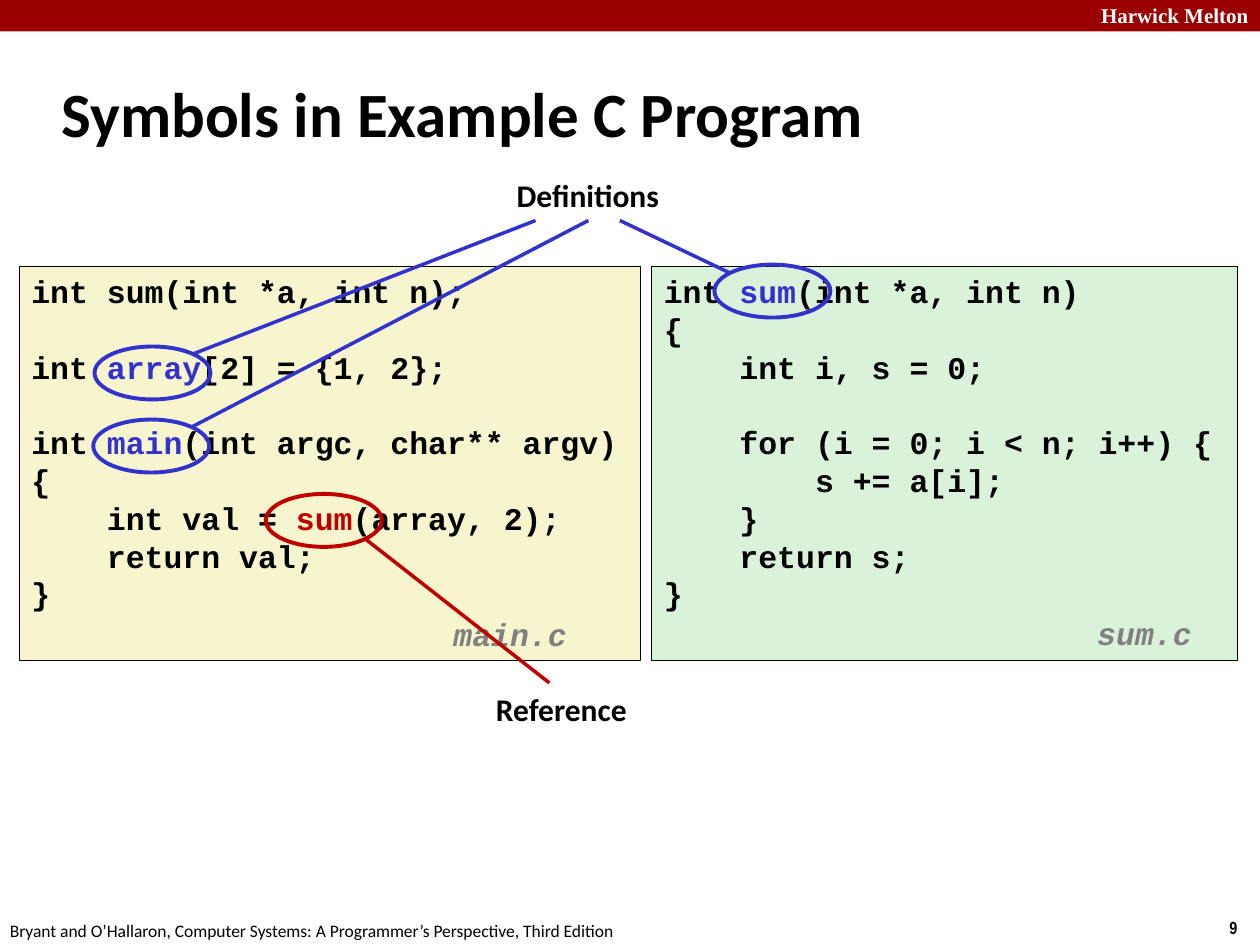
import pptx
import pptx.util
import pptx.dml.color
import pptx.enum.shapes
import pptx.enum.text
from lxml import etree

RGB = pptx.dml.color.RGBColor
SHAPE = pptx.enum.shapes.MSO_SHAPE
ALIGN = pptx.enum.text.PP_ALIGN
ANCHOR = pptx.enum.text.MSO_ANCHOR
Inches, Pt = pptx.util.Inches, pptx.util.Pt

BLACK, WHITE, GRAY = RGB(0, 0, 0), RGB(255, 255, 255), RGB(0x80, 0x80, 0x80)
BANNER_RED = RGB(0x99, 0, 0)
CREAM, MINT = RGB(0xF7, 0xF5, 0xCD), RGB(0xDB, 0xF2, 0xDA)
DEFINITION, REFERENCE = RGB(0x33, 0x33, 0xCC), RGB(0xC0, 0, 0)

CODE_FONT, CODE_SIZE, LINE_PITCH = "Courier New", 18, 21.6
INDENT = 4 * 0.15  # four monospaced characters
RING = (0.92, 0.42)
PANEL_TOP, PANEL_HEIGHT = 2.11, 3.13

# Each code line: indent level, blank lines above, then (text, colour) runs.
MAIN_CODE = [
    (0, 0, [("int sum(int *a, int n);", BLACK)]),
    (0, 1, [("int ", BLACK), ("array", DEFINITION), ("[2] = {1, 2};", BLACK)]),
    (0, 1, [("int ", BLACK), ("main", DEFINITION), ("(int argc, char** argv)", BLACK)]),
    (0, 0, [("{", BLACK)]),
    (1, 0, [("int val = ", BLACK), ("sum", REFERENCE), ("(array, 2);", BLACK)]),
    (1, 0, [("return val;", BLACK)]),
    (0, 0, [("}", BLACK)]),
]
SUM_CODE = [
    (0, 0, [("int ", BLACK), ("sum", DEFINITION), ("(int *a, int n)", BLACK)]),
    (0, 0, [("{", BLACK)]),
    (1, 0, [("int i, s = 0;", BLACK)]),
    (1, 1, [("for (i = 0; i < n; i++) {", BLACK)]),
    (2, 0, [("s += a[i];", BLACK)]),
    (1, 0, [("}", BLACK)]),
    (1, 0, [("return s;", BLACK)]),
    (0, 0, [("}", BLACK)]),
]
# left, width, fill, code
PANELS = [(0.15, 4.93, CREAM, MAIN_CODE), (5.17, 4.65, MINT, SUM_CODE)]

# text, box, font, size, colour, options
HEADER = [
    ("Harwick Melton", (8.64, -0.03, 1.43, 0.3), "Times New Roman", 12, WHITE,
     {"wrap": False}),
    ("9", (9.66, 7.23, 0.34, 0.27), "Arial Narrow", 10, BLACK, {}),
    ("Bryant and O’Hallaron, Computer Systems: A Programmer’s Perspective, Third Edition",
     (-0.02, 7.25, 5.08, 0.27), "Calibri", 10, BLACK, {"bold": False}),
    ("Symbols in Example C Program", (0.39, 0.48, 8.3, 0.83), "Calibri", 36, BLACK,
     {"anchor": ANCHOR.MIDDLE}),
]
LABELS = [
    ("main.c", (3.5, 4.86, 1.17, 0.39), CODE_FONT, 18, GRAY, {"italic": True, "spacing": 0.94}),
    ("sum.c", (8.61, 4.85, 1.02, 0.39), CODE_FONT, 18, GRAY, {"italic": True, "spacing": 0.94}),
    ("Definitions", (3.99, 1.35, 1.35, 0.4), "Calibri", 18, BLACK, {"align": ALIGN.CENTER}),
    ("Reference", (3.82, 5.43, 1.27, 0.4), "Calibri", 18, BLACK, {"align": ALIGN.CENTER}),
]
# ring corner, line start at the ring, line end at the label, colour
CALLOUTS = [
    ((0.75, 2.75), (1.53, 2.81), (4.25, 1.75), DEFINITION),
    ((0.74, 3.33), (1.52, 3.39), (4.67, 1.75), DEFINITION),
    ((5.67, 2.1), (5.8, 2.17), (4.92, 1.75), DEFINITION),
    ((2.11, 3.92), (2.89, 4.27), (4.36, 5.42), REFERENCE),
]


def add_run(paragraph, text, font, size, color, bold=True, italic=False):
    run = paragraph.add_run()
    run.text = text
    run.font.name, run.font.size = font, Pt(size)
    run.font.bold, run.font.italic = bold, italic
    run.font.color.rgb = color


def add_text(slide, text, box, font, size, color, options):
    frame = slide.shapes.add_textbox(*map(Inches, box)).text_frame
    frame.word_wrap = options.get("wrap", True)
    frame.vertical_anchor = options.get("anchor", ANCHOR.TOP)
    paragraph = frame.paragraphs[0]
    paragraph.alignment = options.get("align", ALIGN.LEFT)
    paragraph.line_spacing = options.get("spacing", 1.0)
    add_run(paragraph, text, font, size, color,
            options.get("bold", True), options.get("italic", False))


def add_plain_shape(slide, kind, box, fill=None, line=None, weight=0.25):
    shape = slide.shapes.add_shape(kind, *map(Inches, box))
    shape.shadow.inherit = False
    if fill is None:
        shape.fill.background()
    else:
        shape.fill.solid()
        shape.fill.fore_color.rgb = fill
    if line is None:
        shape.line.fill.background()
    else:
        shape.line.color.rgb, shape.line.width = line, Pt(weight)
    return shape


def add_code_panel(slide, left, width, fill, code):
    box = (left, PANEL_TOP, width, PANEL_HEIGHT)
    frame = add_plain_shape(slide, SHAPE.RECTANGLE, box, fill, BLACK).text_frame
    frame.word_wrap = True
    frame.vertical_anchor = ANCHOR.TOP
    frame.margin_top = Inches(0.05)
    for number, (level, blanks, runs) in enumerate(code):
        paragraph = frame.add_paragraph() if number else frame.paragraphs[0]
        paragraph.alignment = ALIGN.LEFT
        paragraph.line_spacing = Pt(LINE_PITCH)
        paragraph.space_before = Pt(blanks * LINE_PITCH)
        paragraph._p.get_or_add_pPr().set("marL", str(Inches(level * INDENT)))
        for text, color in runs:
            add_run(paragraph, text, CODE_FONT, CODE_SIZE, color)


def add_line(slide, start, end, color):
    line = slide.shapes.add_connector(
        pptx.enum.shapes.MSO_CONNECTOR.STRAIGHT, *map(Inches, start + end))
    line.line.color.rgb, line.line.width = color, Pt(2)
    etree.SubElement(line._element.spPr, pptx.oxml.ns.qn("a:effectLst"))


def main():
    deck = pptx.Presentation()
    deck.slide_width, deck.slide_height = Inches(10), Inches(7.5)
    slide = deck.slides.add_slide(deck.slide_layouts[6])
    add_plain_shape(slide, SHAPE.RECTANGLE, (0, 0, 10, 0.25), BANNER_RED)
    for entry in HEADER:
        add_text(slide, *entry)
    for panel in PANELS:
        add_code_panel(slide, *panel)
    for entry in LABELS:
        add_text(slide, *entry)
    for corner, start, end, color in CALLOUTS:
        add_plain_shape(slide, SHAPE.OVAL, corner + RING, line=color, weight=2.25)
        add_line(slide, start, end, color)
    deck.save("out.pptx")


if __name__ == "__main__":
    main()
